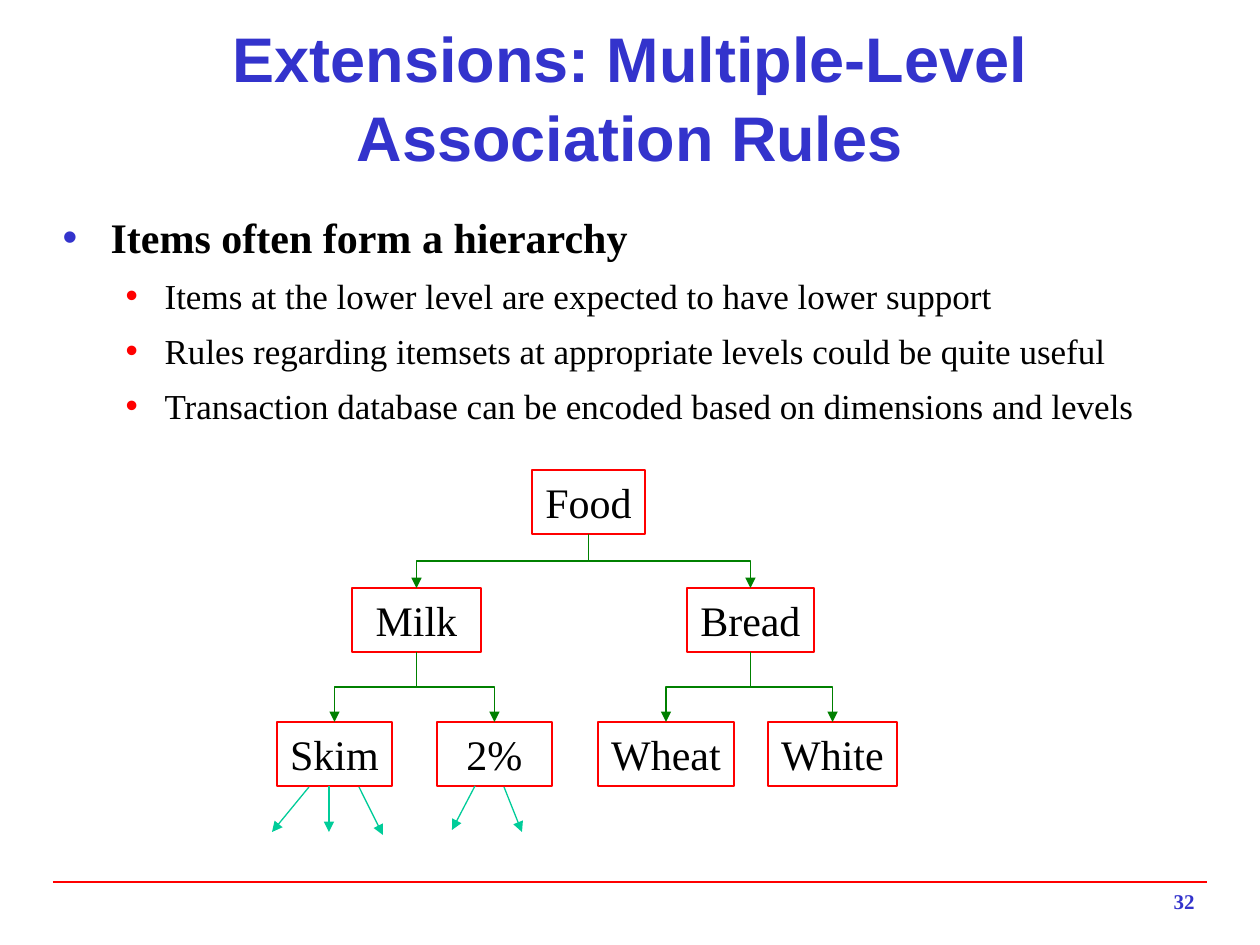
"""Build the slide on multiple-level association rules."""
from lxml.etree import SubElement
from pptx import Presentation
from pptx.dml.color import RGBColor
from pptx.enum.shapes import MSO_CONNECTOR, MSO_SHAPE
from pptx.enum.text import MSO_ANCHOR, MSO_AUTO_SIZE, PP_ALIGN
from pptx.oxml.ns import qn
from pptx.util import Pt

PX = 914400 / 126
BLUE = RGBColor(0x33, 0x33, 0xCC)
RED = RGBColor(0xFF, 0x00, 0x00)
GREEN = RGBColor(0x00, 0x80, 0x00)
TEAL = RGBColor(0x00, 0xCC, 0x99)
BLACK = RGBColor(0x00, 0x00, 0x00)
SERIF = "Times New Roman"


def emu(*sizes):
    return [round(size * PX) for size in sizes]


def write(para, text, size=24, font=SERIF, color=BLACK, bold=False, align=PP_ALIGN.LEFT):
    run = para.add_run()
    run.text = text
    run.font.size = Pt(size)
    run.font.name = font
    run.font.color.rgb = color
    run.font.bold = bold
    para.alignment = align


deck = Presentation()
deck.slide_width, deck.slide_height = emu(1260, 945)
slide = deck.slides.add_slide(deck.slide_layouts[1])
shapes = slide.shapes

title = shapes.title
title.left, title.top, title.width, title.height = emu(63, 53, 1134, 84)
frame = title.text_frame
frame.auto_size = MSO_AUTO_SIZE.NONE
frame.vertical_anchor = MSO_ANCHOR.MIDDLE
frame.paragraphs[0].line_spacing = 1.05
write(frame.paragraphs[0], "Extensions: Multiple-Level Association Rules",
      size=36, font="Arial", color=BLUE, bold=True, align=PP_ALIGN.CENTER)

body = slide.placeholders[1]
body.left, body.top, body.width, body.height = emu(50, 200, 1147, 672)
frame = body.text_frame
frame.auto_size = MSO_AUTO_SIZE.NONE
points = [
    "Items often form a hierarchy",
    "Items at the lower level are expected to have lower support",
    "Rules regarding itemsets at appropriate levels could be quite useful",
    "Transaction database can be encoded based on dimensions and levels",
]
for index, text in enumerate(points):
    sub = index > 0
    para = frame.add_paragraph() if sub else frame.paragraphs[0]
    para.level = int(sub)
    props = para._p.get_or_add_pPr()
    left, hang = emu(102, -39) if sub else emu(48, -48)
    props.set("marL", str(left))
    props.set("indent", str(hang))
    tint = SubElement(props, qn("a:buClr"))
    SubElement(tint, qn("a:srgbClr")).set("val", str(RED if sub else BLUE))
    SubElement(props, qn("a:buChar")).set("char", "•")
    para.line_spacing = 1.1
    para.space_before = Pt(5 if sub else 0)
    write(para, text, size=20 if sub else 24, bold=not sub)

nodes = {}
for name, left, top, width in [
    ("Food", 532, 470, 113),
    ("Milk", 352, 588, 129),
    ("Bread", 687, 588, 127),
    ("Skim", 277, 722, 115),
    ("2%", 437, 722, 115),
    ("Wheat", 598, 722, 136),
    ("White", 768, 722, 129),
]:
    node = shapes.add_shape(MSO_SHAPE.RECTANGLE, *emu(left, top, width, 64))
    node.shadow.inherit = False
    node.fill.background()
    node.line.color.rgb = RED
    node.line.width = Pt(0.75)
    node.text_frame.word_wrap = False
    write(node.text_frame.paragraphs[0], name, align=PP_ALIGN.CENTER)
    nodes[name] = node

wires = []
tree = {"Food": ["Milk", "Bread"], "Milk": ["Skim", "2%"], "Bread": ["Wheat", "White"]}
for name, kids in tree.items():
    for kid in kids:
        head, tail = nodes[name], nodes[kid]
        x1, y1 = head.left + head.width // 2, head.top + head.height
        x2, y2 = tail.left + tail.width // 2, tail.top
        wire = shapes.add_connector(MSO_CONNECTOR.ELBOW, x1, y1, x2, y2)
        wire.begin_connect(head, 2)
        wire.end_connect(tail, 0)
        wide, high = y2 - y1, abs(x2 - x1)
        wire.left, wire.top = (x1 + x2 - wide) // 2, (y1 + y2 - high) // 2
        wire.width, wire.height = wide, high
        turn = wire._element.spPr.xfrm
        turn.set("rot", "5400000" if x2 < x1 else "16200000")
        turn.set("flipH", str(int(x2 > x1)))
        wires.append((wire, GREEN, 0.75))

for ends in [
    (309, 787, 272, 832),
    (329, 786, 329, 832),
    (359, 787, 383, 835),
    (475, 786, 452, 830),
    (504, 787, 522, 832),
]:
    wire = shapes.add_connector(MSO_CONNECTOR.STRAIGHT, *emu(*ends))
    wires.append((wire, TEAL, 0.75))

rule = shapes.add_connector(MSO_CONNECTOR.STRAIGHT, *emu(53, 882, 1207, 882))
wires.append((rule, RED, 1))

for wire, color, width in wires:
    wire.line.color.rgb = color
    wire.line.width = Pt(width)
    if wire is not rule:
        SubElement(wire._element.spPr.get_or_add_ln(), qn("a:tailEnd")).set("type", "triangle")
    SubElement(wire._element.spPr, qn("a:effectLst"))

number = shapes.add_textbox(*emu(945, 882, 262, 42))
number.text_frame.word_wrap = True
write(number.text_frame.paragraphs[0], "32", size=12, color=BLUE, bold=True,
      align=PP_ALIGN.RIGHT)

deck.save("out.pptx")
